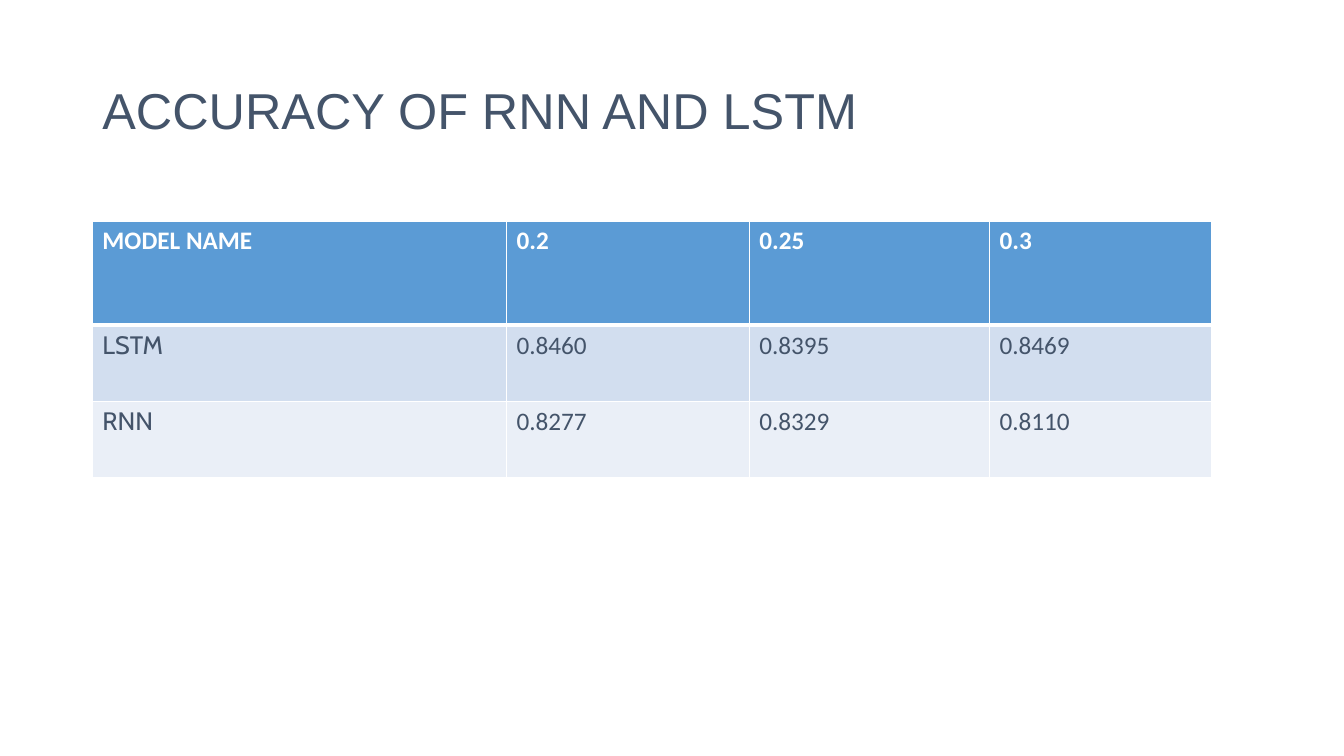
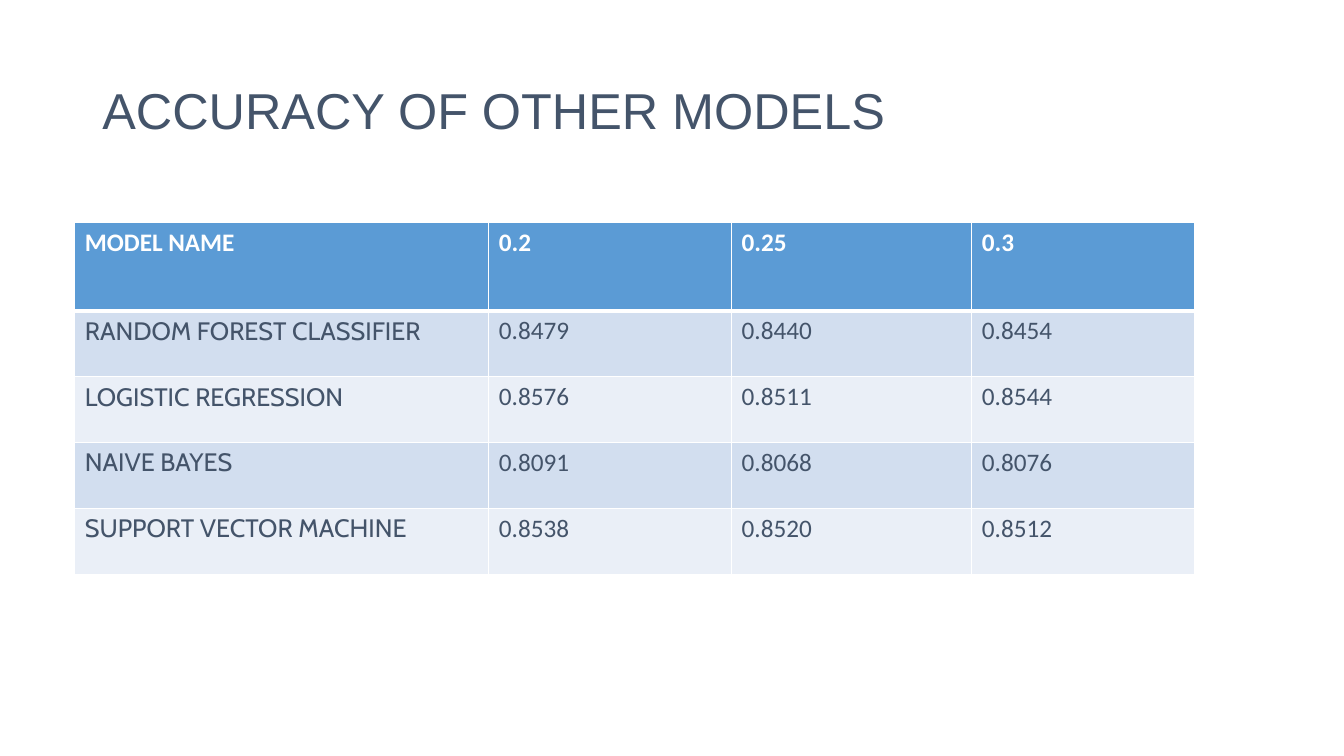
from dataclasses import dataclass

from lxml.etree import SubElement
from pptx import Presentation
from pptx.dml.color import RGBColor as Color
from pptx.enum.text import MSO_ANCHOR as Anchor
from pptx.oxml.ns import qn
from pptx.slide import Slide
from pptx.table import _Cell as Cell
from pptx.text.text import TextFrame
from pptx.util import Inches, Length, Pt


@dataclass(frozen=True)
class Theme:
    ink: str = "44546A"
    paper: str = "FFFFFF"
    header: str = "5B9BD5"
    bands: tuple[str, str] = ("D2DEEF", "EAEFF7")
    title_font: str = "Arial"
    name_font: str = "Cabin"
    value_font: str = "Calibri"
    title_size: int = 36
    table_size: int = 18
    thin_rule: int = 1
    thick_rule: int = 3


@dataclass(frozen=True)
class AccuracyTable:
    """One page: a title and a table, placed in grid units."""
    title: str
    left: float
    top: float
    header_height: float
    row_height: float
    models: dict[str, tuple[str, ...]]


THEME = Theme()

# The slide is a grid of 160 columns by 90 rows of square units
GRID_COLUMNS, GRID_ROWS = 160, 90
UNIT = Inches(13.333) / GRID_COLUMNS
TITLE_BOX = (11, 4.8, 138, 17.4)
COLUMN_WIDTHS = (49.3, 28.9, 28.6, 26.5)
HEADINGS = ("MODEL NAME", "0.2", "0.25", "0.3")

PAGES = (
    AccuracyTable("ACCURACY OF RNN AND LSTM", 11, 26.3, 12.4, 9.1, {
        "LSTM": ("0.8460", "0.8395", "0.8469"),
        "RNN": ("0.8277", "0.8329", "0.8110"),
    }),
    AccuracyTable("ACCURACY OF OTHER MODELS", 8.9, 26.5, 10.5, 7.84, {
        "RANDOM FOREST CLASSIFIER": ("0.8479", "0.8440", "0.8454"),
        "LOGISTIC REGRESSION": ("0.8576", "0.8511", "0.8544"),
        "NAIVE BAYES": ("0.8091", "0.8068", "0.8076"),
        "SUPPORT VECTOR MACHINE": ("0.8538", "0.8520", "0.8512"),
    }),
)


def units(count: float) -> Length:
    return Length(round(count * UNIT))


def write(frame: TextFrame, text: str, *, font: str, size: int,
          color: str = THEME.ink, bold: bool = False,
          line_spacing: float = 1.0) -> None:
    para = frame.paragraphs[0]
    para.line_spacing = line_spacing
    span = para.add_run()
    span.text = text
    span.font.name = font
    span.font.size = Pt(size)
    span.font.bold = bold
    span.font.color.rgb = Color.from_string(color)


def add_title(page: Slide, text: str) -> None:
    box = page.shapes.add_textbox(*map(units, TITLE_BOX))
    frame = box.text_frame
    frame.word_wrap = True
    frame.vertical_anchor = Anchor.MIDDLE
    write(frame, text, font=THEME.title_font, size=THEME.title_size,
          line_spacing=0.9)


def set_borders(cell: Cell, *, top: int, bottom: int) -> None:
    """Draw the four cell borders; call before filling the cell."""
    properties = cell._tc.get_or_add_tcPr()
    widths = {"lnL": THEME.thin_rule, "lnR": THEME.thin_rule,
              "lnT": top, "lnB": bottom}
    for side, width in widths.items():
        line = SubElement(properties, qn(f"a:{side}"), w=str(Pt(width)))
        fill = SubElement(line, qn("a:solidFill"))
        SubElement(fill, qn("a:srgbClr"), val=THEME.paper)


def format_cell(cell: Cell, text: str, row: int, column: int) -> None:
    is_header = row == 0
    # The heavy rule lies between the header and the first model
    set_borders(cell,
                top=THEME.thick_rule if row == 1 else THEME.thin_rule,
                bottom=THEME.thick_rule if is_header else THEME.thin_rule)
    fill = THEME.header if is_header else THEME.bands[(row - 1) % 2]
    cell.fill.solid()
    cell.fill.fore_color.rgb = Color.from_string(fill)
    is_name = column == 0 and not is_header
    write(cell.text_frame, text, size=THEME.table_size, bold=is_header,
          font=THEME.name_font if is_name else THEME.value_font,
          color=THEME.paper if is_header else THEME.ink)


def add_accuracy_table(page: Slide, content: AccuracyTable) -> None:
    rows = [HEADINGS, *((name, *values)
                        for name, values in content.models.items())]
    heights = [content.header_height] + [content.row_height] * len(content.models)
    table = page.shapes.add_table(
        len(rows), len(HEADINGS), units(content.left), units(content.top),
        units(sum(COLUMN_WIDTHS)), units(sum(heights))).table
    for column, width in zip(table.columns, COLUMN_WIDTHS):
        column.width = units(width)
    for row, height in zip(table.rows, heights):
        row.height = units(height)
    for row_index, texts in enumerate(rows):
        for column_index, text in enumerate(texts):
            format_cell(table.cell(row_index, column_index), text,
                        row_index, column_index)


def main() -> None:
    deck = Presentation()
    deck.slide_width = units(GRID_COLUMNS)
    deck.slide_height = units(GRID_ROWS)
    blank = deck.slide_layouts[6]
    for content in PAGES:
        page = deck.slides.add_slide(blank)
        page.background.fill.solid()
        page.background.fill.fore_color.rgb = Color.from_string(THEME.paper)
        add_title(page, content.title)
        add_accuracy_table(page, content)
    deck.save("out.pptx")


if __name__ == "__main__":
    main()
